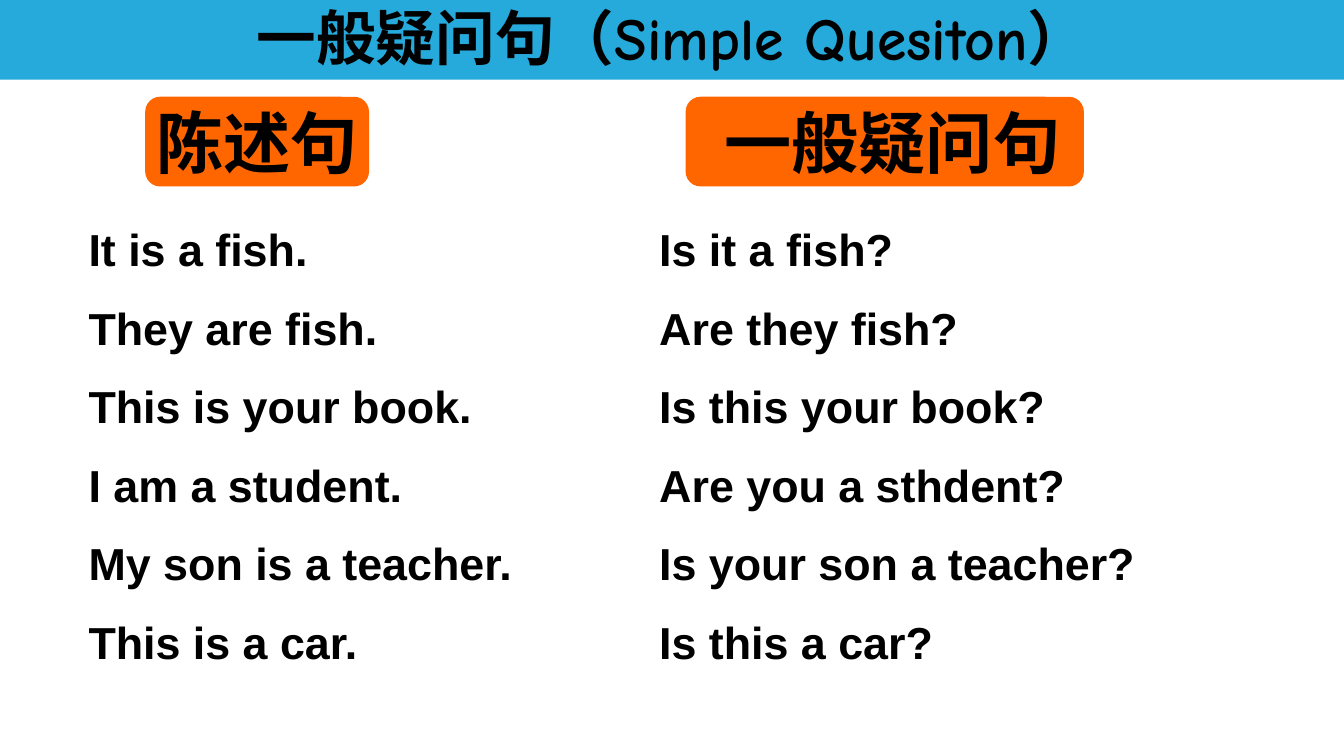
"""Builds a slide that pairs statements with their simple questions."""
import pptx
import pptx.util
import pptx.dml.color
import pptx.enum.shapes
import pptx.enum.text
import pptx.oxml.ns
import lxml.etree

Inches, Pt = pptx.util.Inches, pptx.util.Pt
RGB = pptx.dml.color.RGBColor.from_string
SHAPE = pptx.enum.shapes.MSO_SHAPE
ALIGN = pptx.enum.text.PP_ALIGN
ANCHOR = pptx.enum.text.MSO_ANCHOR

THEME = {
    "band": "26AADB", "label": "FF6600", "text": "000000",
    "cjk": "Noto Sans CJK SC", "comic": "Comic Neue", "body": "Arial",
    "title_size": 42.6, "label_size": 48, "body_size": 32, "body_gap": 17.7,
}

TITLE = [("一般疑问句", THEME["cjk"]), ("（Simple Quesiton）", THEME["comic"])]

COLUMNS = [
    {"label": "陈述句", "label_left": 1.44, "label_width": 2.22,
     "left": 0.78, "width": 6.01,
     "sentences": ["It is a fish.", "They are fish.", "This is your book.",
                   "I am a student.", "My son is a teacher.", "This is a car."]},
    {"label": " 一般疑问句", "label_left": 6.8, "label_width": 3.95,
     "left": 6.44, "width": 6.67,
     "sentences": ["Is it a fish?", "Are they fish?", "Is this your book?",
                   "Are you a sthdent?", "Is your son a teacher?", "Is this a car?"]},
]
LABEL_TOP, LABEL_HEIGHT = 0.96, 0.89
LIST_TOP, LIST_HEIGHT = 2.1, 4.68


def add_run(p, text, font, size):
    r = p.add_run()
    r.text = text
    r.font.name = font
    r.font.size = Pt(size)
    r.font.bold = True
    r.font.color.rgb = RGB(THEME["text"])
    east_asian = lxml.etree.SubElement(r.font._element, pptx.oxml.ns.qn("a:ea"))
    east_asian.set("typeface", THEME["cjk"])


def add_panel(s, kind, box, color, runs, size):
    sp = s.shapes.add_shape(kind, *map(Inches, box))
    sp.shadow.inherit = False
    sp.fill.solid()
    sp.fill.fore_color.rgb = RGB(color)
    sp.line.fill.background()
    tf = sp.text_frame
    tf.word_wrap = False
    tf.vertical_anchor = ANCHOR.MIDDLE
    p = tf.paragraphs[0]
    p.alignment = ALIGN.CENTER
    for text, font in runs:
        add_run(p, text, font, size)
    return tf


def add_sentences(s, box, sentences):
    tf = s.shapes.add_textbox(*map(Inches, box)).text_frame
    tf.word_wrap = True
    tf.margin_top = Inches(0.1)
    for i, sentence in enumerate(sentences):
        p = tf.add_paragraph() if i else tf.paragraphs[0]
        if i:
            p.space_before = Pt(THEME["body_gap"])
        add_run(p, sentence, THEME["body"], THEME["body_size"])


def main():
    prs = pptx.Presentation()
    prs.slide_width, prs.slide_height = Inches(13.33), Inches(7.5)
    s = prs.slides.add_slide(prs.slide_layouts[6])
    tf = add_panel(s, SHAPE.RECTANGLE, (0, -0.03, 13.33, 0.82),
                   THEME["band"], TITLE, THEME["title_size"])
    tf.margin_top, tf.margin_bottom = 0, Inches(0.04)
    for col in COLUMNS:
        add_panel(s, SHAPE.FLOWCHART_ALTERNATE_PROCESS,
                  (col["label_left"], LABEL_TOP, col["label_width"], LABEL_HEIGHT),
                  THEME["label"], [(col["label"], THEME["cjk"])], THEME["label_size"])
        add_sentences(s, (col["left"], LIST_TOP, col["width"], LIST_HEIGHT),
                      col["sentences"])
    prs.save("out.pptx")


if __name__ == "__main__":
    main()
